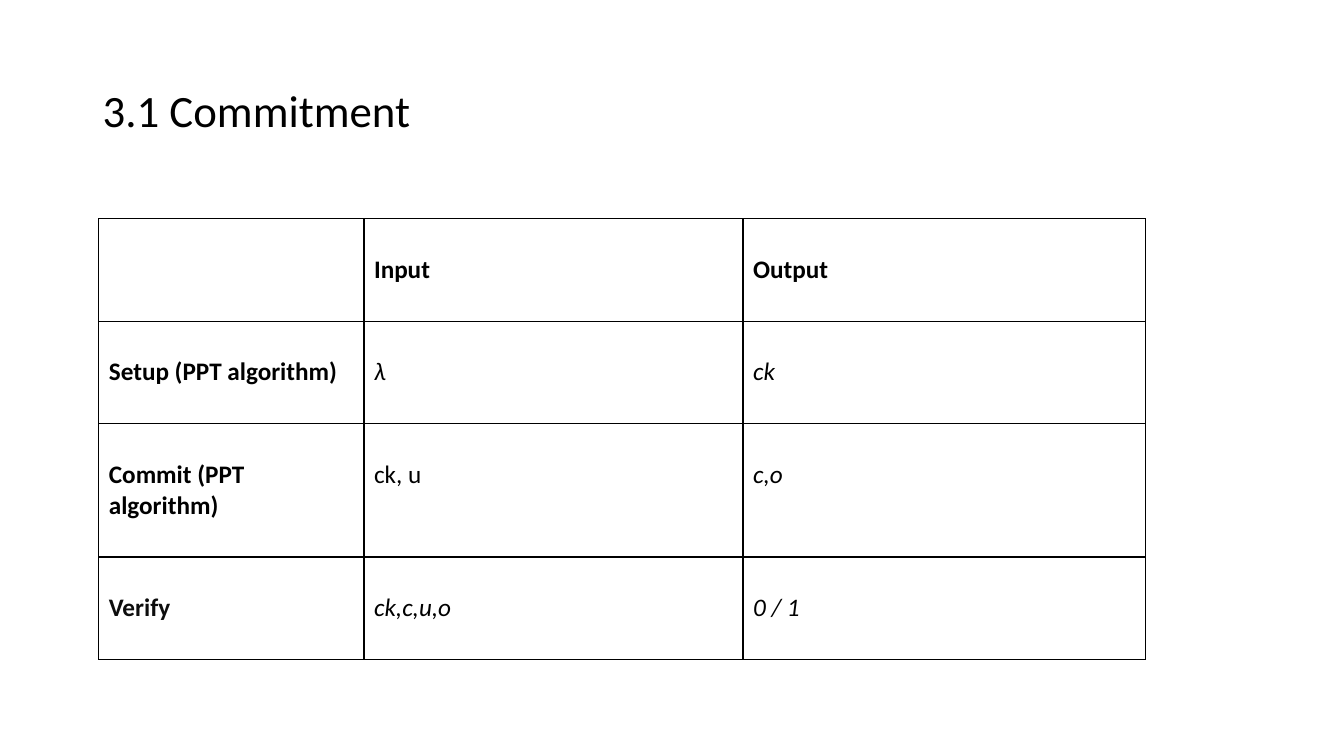
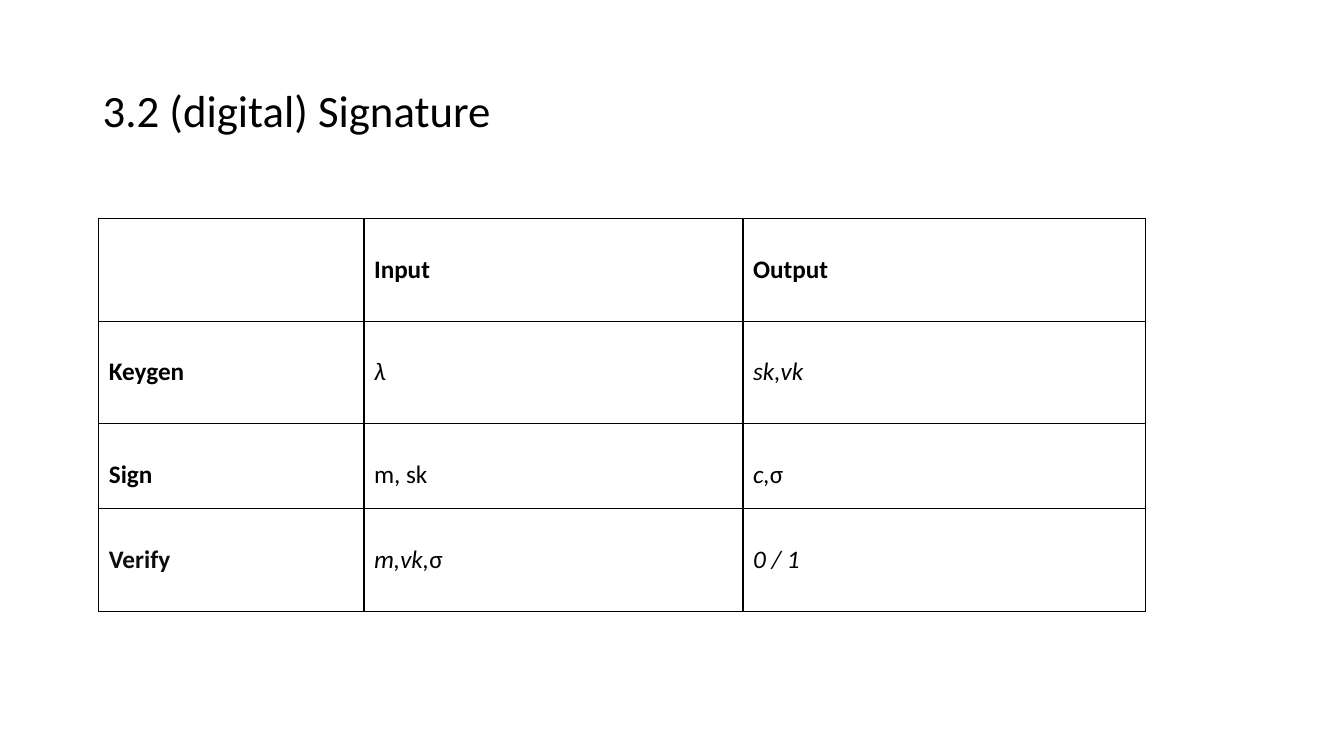
from lxml.etree import SubElement
from pptx import Presentation
from pptx.dml.color import RGBColor
from pptx.enum.text import MSO_ANCHOR
from pptx.oxml.ns import qn
from pptx.util import Inches, Pt

BLACK = RGBColor(0x00, 0x00, 0x00)
SOFT_BLACK = RGBColor(0x0D, 0x0D, 0x0D)
FONT = "Calibri"

# Percentages of the slide's width and height
COLUMNS = (19.73, 28.2, 29.93)
ROW = 13.55
WRAPPED_ROW = 17.65
SHORT_ROW = 11.27
HEADER = ("", "Input", "Output")


class Deck:
    """Holds the style and the current slide."""

    def __init__(self):
        """Start a widescreen presentation."""
        self.prs = Presentation()
        self.prs.slide_width = Inches(13.33)
        self.prs.slide_height = Inches(7.5)
        self.slide = None

    def x(self, percent):
        """Turn a percentage of the slide width into a length."""
        return round(self.prs.slide_width * percent / 100)

    def y(self, percent):
        """Turn a percentage of the slide height into a length."""
        return round(self.prs.slide_height * percent / 100)

    def style(self, p, size, bold=False, color=BLACK):
        """Set the font of a paragraph."""
        p.font.name = FONT
        p.font.size = Pt(size)
        p.font.bold = bold
        p.font.color.rgb = color

    def add_slide(self, title):
        """Add a blank slide with its title."""
        self.slide = self.prs.slides.add_slide(self.prs.slide_layouts[6])
        box = self.slide.shapes.add_textbox(
            self.x(6.9), self.y(5.33), self.x(86.25), self.y(19.33))
        tf = box.text_frame
        tf.word_wrap = True
        tf.vertical_anchor = MSO_ANCHOR.MIDDLE
        p = tf.paragraphs[0]
        p.text = title
        p.line_spacing = 0.9
        self.style(p, 32)

    def add_borders(self, cell):
        """Draw a thin black line on all four sides of a cell."""
        props = cell._tc.get_or_add_tcPr()
        for i, side in enumerate(("lnL", "lnR", "lnT", "lnB")):
            line = SubElement(props, qn(f"a:{side}"), w=str(Pt(1)))
            fill = SubElement(line, qn("a:solidFill"))
            SubElement(fill, qn("a:srgbClr"), val=str(BLACK))
            props.insert(i, line)

    def fill_cell(self, cell, text, bold, color):
        """Write a cell; parts between asterisks are italic."""
        cell.fill.background()
        self.add_borders(cell)
        cell.margin_top = self.y(4.73)
        p = cell.text_frame.paragraphs[0]
        self.style(p, 18, bold, color)
        for i, part in enumerate(text.split("*")):
            if part:
                r = p.add_run()
                r.text = part
                r.font.italic = i % 2 == 1

    def add_table(self, rows, heights):
        """Add a table whose first row and column are bold."""
        frame = self.slide.shapes.add_table(
            len(rows), len(COLUMNS), self.x(7.35), self.y(28.93),
            self.x(sum(COLUMNS)), self.y(sum(heights)))
        table = frame.table
        for column, width in zip(table.columns, COLUMNS):
            column.width = self.x(width)
        for i, (texts, height) in enumerate(zip(rows, heights)):
            table.rows[i].height = self.y(height)
            for j, text in enumerate(texts):
                color = SOFT_BLACK if text == "Verify" else BLACK
                self.fill_cell(table.cell(i, j), text, i == 0 or j == 0, color)


deck = Deck()

deck.add_slide("3.1 Commitment")
deck.add_table(
    (HEADER,
     ("Setup (PPT algorithm)", "*λ*", "*ck*"),
     ("Commit (PPT algorithm)", "ck, u", "*c,o*"),
     ("Verify", "*ck,c,u,o*", "*0 / 1*")),
    (ROW, ROW, WRAPPED_ROW, ROW))

deck.add_slide("3.2 (digital) Signature")
deck.add_table(
    (HEADER,
     ("Keygen", "*λ*", "*sk,vk*"),
     ("Sign", "m, sk", "*c,*σ"),
     ("Verify", "*m,vk,*σ", "*0 / 1*")),
    (ROW, ROW, SHORT_ROW, ROW))

deck.prs.save("out.pptx")
